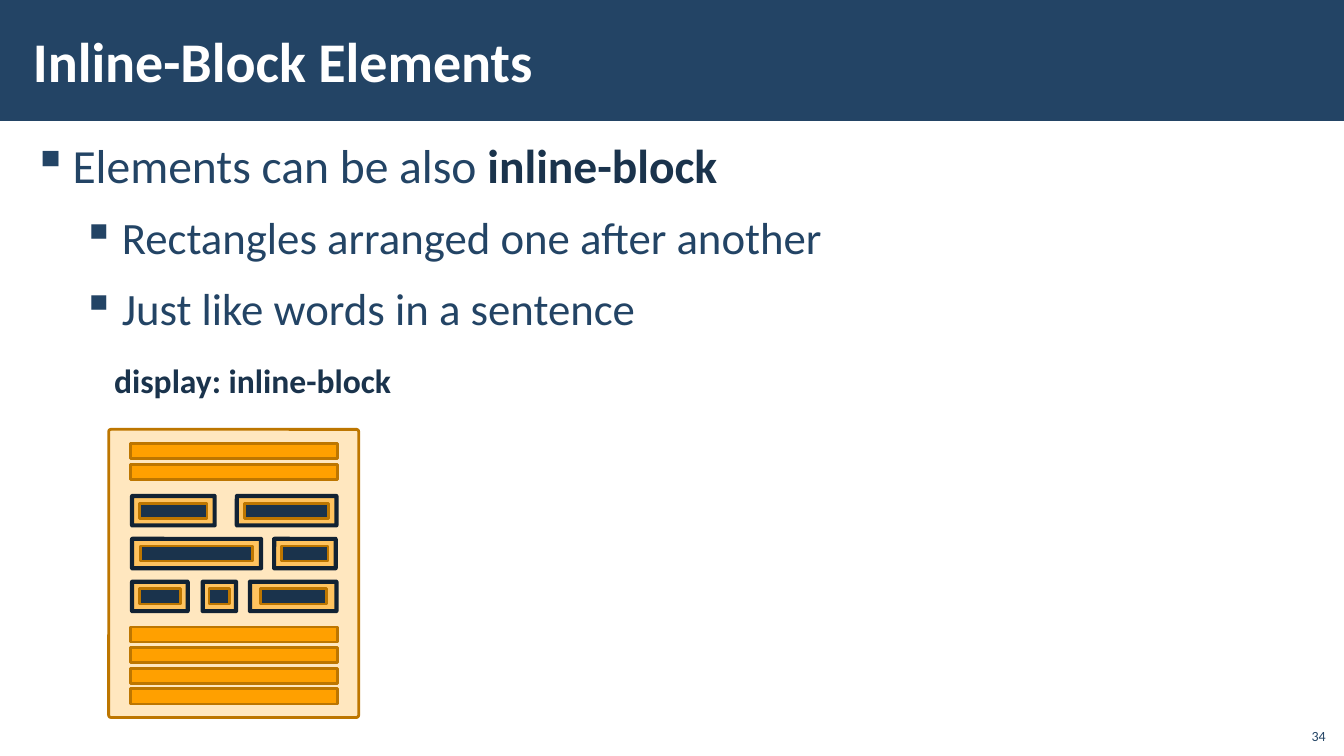
from dataclasses import dataclass

from lxml.etree import SubElement
from pptx import Presentation
from pptx.dml.color import RGBColor as Rgb
from pptx.enum.shapes import MSO_SHAPE as Shape
from pptx.enum.text import MSO_ANCHOR as Anchor, PP_ALIGN as Align
from pptx.oxml.ns import qn
from pptx.util import Cm, Pt


@dataclass(frozen=True)
class Theme:
    font: str = "Calibri"
    blue: str = "234465"
    navy: str = "1A334C"
    ink: str = "112233"
    white: str = "FFFFFF"
    amber: str = "FFA000"
    brown: str = "BD7600"
    title_size: int = 40
    body_sizes: tuple = (34, 32)
    label_size: int = 24
    number_size: int = 10


def write_span(para, text, *, theme, size, color, bold=False):
    """Add one formatted run to a paragraph."""
    span = para.add_run()
    span.text = text
    span.font.name = theme.font
    span.font.size = Pt(size)
    span.font.bold = bold
    span.font.color.rgb = Rgb.from_string(color)


class SlideBuilder:
    def __init__(self, slide, theme):
        self.slide = slide
        self.theme = theme

    def frame(self, left, top, width, height, inset=(0.25, 0.13), anchor=Anchor.TOP):
        box = self.slide.shapes.add_textbox(Cm(left), Cm(top), Cm(width), Cm(height))
        frame = box.text_frame
        frame.word_wrap = True
        frame.vertical_anchor = anchor
        frame.margin_left = frame.margin_right = Cm(inset[0])
        frame.margin_top = frame.margin_bottom = Cm(inset[1])
        return frame

    def line(self, frame, text, align=Align.LEFT, **style):
        para = frame.paragraphs[0]
        para.alignment = align
        write_span(para, text, theme=self.theme, **style)

    def bullets(self, frame, items):
        """Each item is a level and a list of (text, is_strong) parts."""
        for index, (level, parts) in enumerate(items):
            para = frame.paragraphs[0] if index == 0 else frame.add_paragraph()
            props = para._p.get_or_add_pPr()
            props.set("marL", str(Cm(1 + 1.24 * level)))
            props.set("indent", str(Cm(-1)))
            SubElement(props, qn("a:buChar"), char="▪")
            para.level = level
            para.space_before = Pt(6 if index else 0)
            para.space_after = Pt(6)
            for text, strong in parts:
                write_span(para, text, theme=self.theme, bold=strong,
                           size=self.theme.body_sizes[level],
                           color=self.theme.navy if strong else self.theme.blue)

    def rectangle(self, left, top, width, height, fill, line=None, weight=2,
                  opacity=None, rounded=False):
        kind = Shape.ROUNDED_RECTANGLE if rounded else Shape.RECTANGLE
        box = self.slide.shapes.add_shape(kind, Cm(left), Cm(top), Cm(width), Cm(height))
        box.shadow.inherit = False
        if rounded:
            box.adjustments[0] = 0.009
        box.fill.solid()
        box.fill.fore_color.rgb = Rgb.from_string(fill)
        if opacity:
            color = box._element.spPr.find(qn("a:solidFill")).find(qn("a:srgbClr"))
            SubElement(color, qn("a:alpha"), val=str(opacity * 1000))
        if line:
            box.line.color.rgb = Rgb.from_string(line)
            box.line.width = Pt(weight)
        else:
            box.line.fill.background()

    def bars(self, top, count):
        """Stack full-width block elements."""
        for index in range(count):
            self.rectangle(3.3, top + 0.52 * index, 5.21, 0.38,
                           self.theme.amber, self.theme.brown)

    def inline_block(self, left, top, width, pad):
        """Draw a block's frame and the content inside it."""
        self.rectangle(left, top, width, 0.74, self.theme.amber, self.theme.ink,
                       weight=3, opacity=50, rounded=True)
        self.rectangle(left + pad, top + 0.18, width - 2 * pad, 0.38,
                       self.theme.navy, self.theme.brown)


def main():
    deck = Presentation()
    deck.slide_width, deck.slide_height = Cm(33.87), Cm(19.05)
    theme = Theme()
    page = SlideBuilder(deck.slides.add_slide(deck.slide_layouts[6]), theme)

    # Title band
    page.rectangle(0, 0, 33.87, 3.05, theme.blue)
    title = page.frame(0.53, 0.28, 27, 2.46, inset=(0.3, 0.1), anchor=Anchor.MIDDLE)
    page.line(title, "Inline-Block Elements", size=theme.title_size,
              color=theme.white, bold=True)

    # Bullet list
    body = page.frame(0.53, 3.33, 32.82, 15.37, inset=(0.3, 0.1))
    page.bullets(body, [
        (0, [("Elements can be also ", False), ("inline-block", True)]),
        (1, [("Rectangles arranged one after another", False)]),
        (1, [("Just like words in a sentence", False)]),
    ])

    # Diagram label and page outline
    label = page.frame(0.97, 8.94, 10.8, 1.27)
    page.line(label, "display: inline-block", Align.CENTER,
              size=theme.label_size, color=theme.navy, bold=True)
    page.rectangle(2.74, 10.82, 6.3, 7.26, theme.amber, theme.brown,
                   opacity=25, rounded=True)

    # Block elements above and below
    page.bars(11.18, 2)
    page.bars(15.8, 4)

    # Rows of inline blocks: left, width, padding
    block_rows = [
        [(3.33, 2.08, 0.19), (5.97, 2.51, 0.2)],
        [(3.33, 3.25, 0.21), (6.91, 1.55, 0.19)],
        [(3.33, 1.4, 0.18), (5.11, 0.84, 0.16), (6.3, 2.18, 0.26)],
    ]
    for row, blocks in enumerate(block_rows):
        for left, width, pad in blocks:
            page.inline_block(left, 12.5 + 1.08 * row, width, pad)

    # Page number
    number = page.frame(32.64, 18.08, 1.02, 0.81, anchor=Anchor.BOTTOM)
    page.line(number, "34", Align.RIGHT, size=theme.number_size, color=theme.blue)

    deck.save("out.pptx")


if __name__ == "__main__":
    main()
